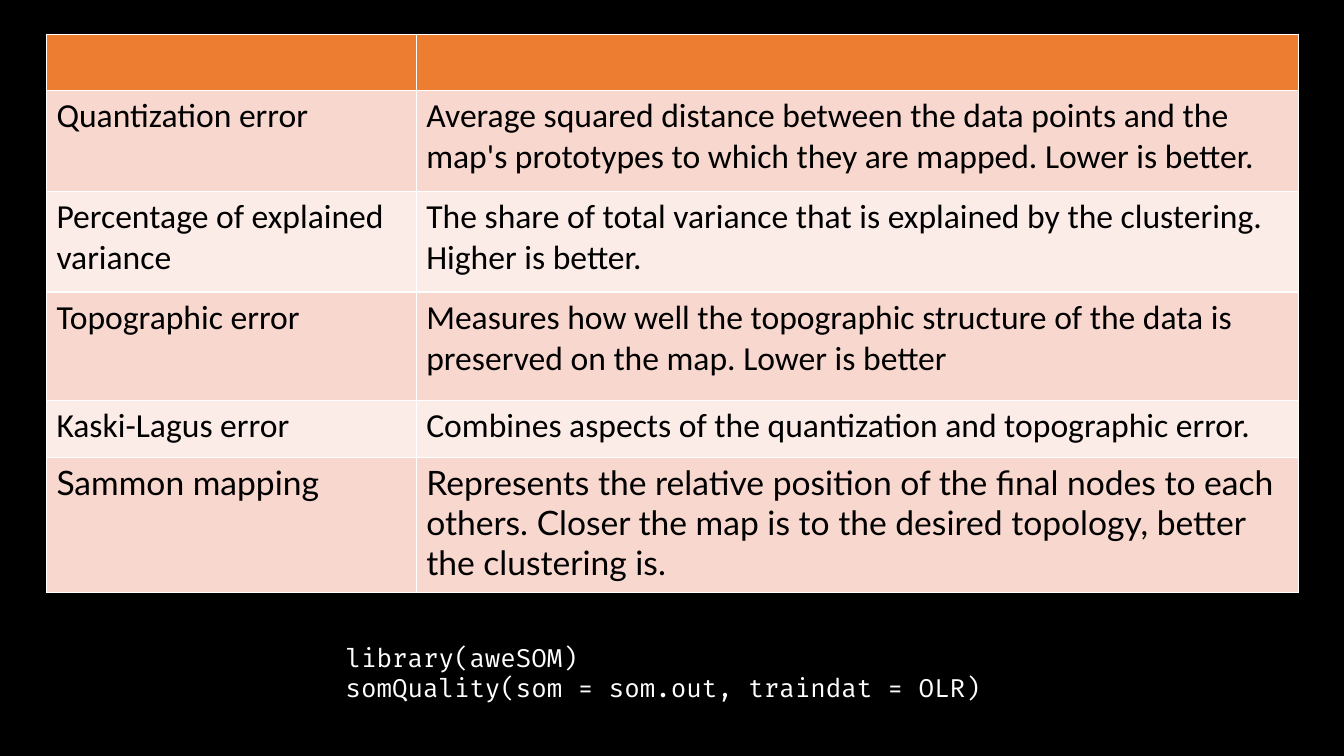
"""Build a slide that explains the quality measures of a self-organising map."""
from dataclasses import dataclass

from pptx import Presentation
from pptx.dml.color import RGBColor as RGB
from pptx.slide import Slide
from pptx.table import _Cell as Cell
from pptx.util import Cm, Pt


@dataclass(frozen=True)
class Theme:
    background: RGB = RGB(0x00, 0x00, 0x00)
    header: RGB = RGB(0xED, 0x7D, 0x31)
    bands: tuple[RGB, RGB] = (RGB(0xF8, 0xD7, 0xCE), RGB(0xFC, 0xEC, 0xE8))
    table_text: RGB = RGB(0x00, 0x00, 0x00)
    code_text: RGB = RGB(0xFF, 0xFF, 0xFF)
    code_font: str = "Fira Code"
    table_size: int = 24
    code_size: int = 18


@dataclass(frozen=True)
class Measure:
    name: str
    meaning: str
    height: float
    font: str = "Calibri"


THEME = Theme()
HEADER_HEIGHT = 1.42
COLUMN_WIDTHS = (9.32, 22.23)
MEASURES = (
    Measure("Quantization error",
            "Average squared distance between the data points and the map's "
            "prototypes to which they are mapped. Lower is better.", 2.54),
    Measure("Percentage of explained variance",
            "The share of total variance that is explained by the clustering. "
            "Higher is better.", 2.54),
    Measure("Topographic error",
            "Measures how well the topographic structure of the data is "
            "preserved on the map. Lower is better", 2.74),
    Measure("Kaski-Lagus error",
            "Combines aspects of the quantization and topographic error.", 1.42),
    Measure("Sammon mapping",
            "Represents the relative position of the final nodes to each others. "
            "Closer the map is to the desired topology, better the clustering is.",
            3.4, "Lato"),
)
CODE = "library(aweSOM)\nsomQuality(som = som.out, traindat = OLR)"


def fill_cell(cell: Cell, color: RGB) -> None:
    """Give a cell a solid fill."""
    cell.fill.solid()
    cell.fill.fore_color.rgb = color


def add_measures(s: Slide) -> None:
    """Add the table of quality measures."""
    heights = (HEADER_HEIGHT, *(m.height for m in MEASURES))
    table = s.shapes.add_table(
        len(heights), len(COLUMN_WIDTHS), Cm(1.17), Cm(0.86),
        Cm(sum(COLUMN_WIDTHS)), Cm(sum(heights))).table
    for column, width in zip(table.columns, COLUMN_WIDTHS):
        column.width = Cm(width)
    for row, height in zip(table.rows, heights):
        row.height = Cm(height)
    for cell in table.rows[0].cells:
        fill_cell(cell, THEME.header)
    for i, measure in enumerate(MEASURES):
        texts = (measure.name, measure.meaning)
        for cell, text in zip(table.rows[i + 1].cells, texts):
            fill_cell(cell, THEME.bands[i % 2])
            cell.text = text
            font = cell.text_frame.paragraphs[0].font
            font.name = measure.font
            font.size = Pt(THEME.table_size)
            font.color.rgb = THEME.table_text


def add_code(s: Slide) -> None:
    """Add the code that computes the measures."""
    tf = s.shapes.add_textbox(Cm(8.46), Cm(16.05), Cm(16.94), Cm(1.8)).text_frame
    tf.word_wrap = True
    tf.text = CODE
    for p in tf.paragraphs:
        p.font.name = THEME.code_font
        p.font.size = Pt(THEME.code_size)
        p.font.color.rgb = THEME.code_text


def main() -> None:
    """Build and save the presentation."""
    prs = Presentation()
    prs.slide_width, prs.slide_height = Cm(33.87), Cm(19.05)
    s = prs.slides.add_slide(prs.slide_layouts[6])
    s.background.fill.solid()
    s.background.fill.fore_color.rgb = THEME.background
    add_measures(s)
    add_code(s)
    prs.save("out.pptx")


if __name__ == "__main__":
    main()
